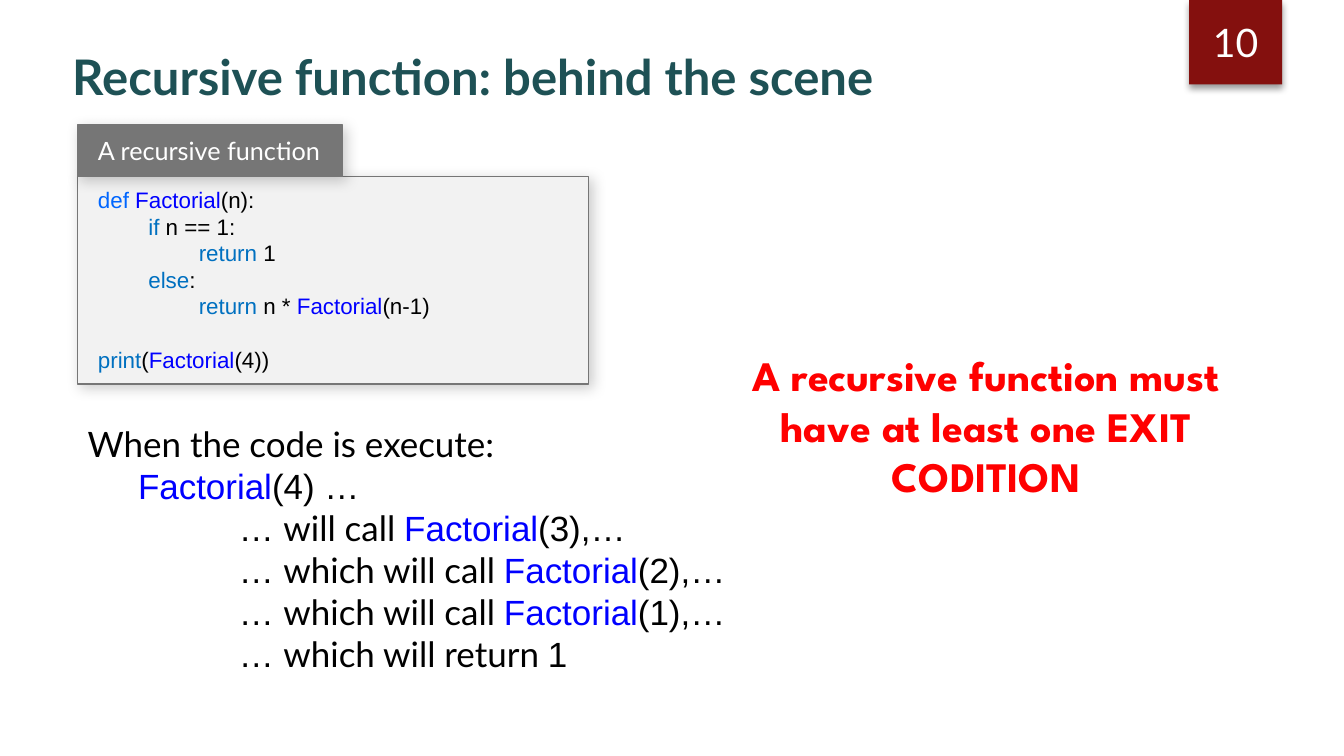
from dataclasses import dataclass
from typing import Optional

from lxml.etree import SubElement
from pptx import Presentation
from pptx.dml.color import RGBColor
from pptx.enum.shapes import MSO_SHAPE
from pptx.enum.text import MSO_ANCHOR as Anchor, MSO_AUTO_SIZE as AutoSize, PP_ALIGN as Align
from pptx.oxml.ns import qn
from pptx.util import Cm, Pt

BLACK = RGBColor(0x00, 0x00, 0x00)
WHITE = RGBColor(0xFF, 0xFF, 0xFF)
TEAL = RGBColor(0x1E, 0x51, 0x55)
MAROON = RGBColor(0x84, 0x10, 0x0E)
GRAY = RGBColor(0x76, 0x76, 0x76)
PALE = RGBColor(0xF2, 0xF2, 0xF2)
DEF_BLUE = RGBColor(0x00, 0x66, 0xFF)
NAME_BLUE = RGBColor(0x00, 0x00, 0xFF)
KEY_BLUE = RGBColor(0x00, 0x70, 0xC0)
RED = RGBColor(0xFF, 0x00, 0x00)

LATO, ARIAL, SPARTAN = "Lato", "Arial", "League Spartan"
STEP = 1.27  # one indent level, cm


@dataclass
class Run:
    text: str
    color: RGBColor = BLACK
    font: str = ARIAL
    bold: bool = False


@dataclass
class Line:
    runs: list[Run]
    level: int = 0
    before: float = 0


@dataclass
class Shadow:
    alpha: int
    blur: float
    dist: float
    angle: int


@dataclass
class Box:
    at: tuple[float, float, float, float]
    lines: list[Line]
    size: float
    inset: tuple[float, float] = (0.25, 0.13)
    align: Align = Align.LEFT
    anchor: Anchor = Anchor.TOP
    pitch: Optional[float] = None
    fill: Optional[RGBColor] = None
    line: Optional[RGBColor] = None
    shadow: Optional[Shadow] = None


def add_shadow(props, shadow: Shadow) -> None:
    effects = props.find(qn("a:effectLst"))
    if effects is None:
        effects = SubElement(props, qn("a:effectLst"))
    outer = SubElement(effects, qn("a:outerShdw"), blurRad=str(Pt(shadow.blur)),
                       dist=str(Pt(shadow.dist)), dir=str(shadow.angle * 60000),
                       algn="tl", rotWithShape="0")
    color = SubElement(outer, qn("a:srgbClr"), val="000000")
    SubElement(color, qn("a:alpha"), val=str(shadow.alpha * 1000))


def write(tf, box: Box) -> None:
    side, top = map(Cm, box.inset)
    frame = dict(word_wrap=True, auto_size=AutoSize.NONE, vertical_anchor=box.anchor,
                 margin_left=side, margin_right=side, margin_top=top, margin_bottom=top)
    for name, value in frame.items():
        setattr(tf, name, value)
    for i, line in enumerate(box.lines):
        p = tf.add_paragraph() if i else tf.paragraphs[0]
        p.alignment = box.align
        if box.pitch:
            p.line_spacing = Pt(box.pitch)
        if line.before:
            p.space_before = Pt(line.before)
        if line.level:
            pPr = p._p.get_or_add_pPr()
            pPr.set("marL", str(Cm(STEP * line.level)))
            pPr.set("indent", "0")
        for part in line.runs:
            r = p.add_run()
            r.text = part.text
            style = dict(name=part.font, size=Pt(box.size), bold=part.bold)
            for name, value in style.items():
                setattr(r.font, name, value)
            r.font.color.rgb = part.color


def add_box(s, box: Box) -> None:
    at = map(Cm, box.at)
    if box.fill is None:
        sp = s.shapes.add_textbox(*at)
    else:
        sp = s.shapes.add_shape(MSO_SHAPE.RECTANGLE, *at)
        sp.fill.solid()
        sp.fill.fore_color.rgb = box.fill
        if box.line is None:
            sp.line.fill.background()
        else:
            sp.line.color.rgb = box.line
            sp.line.width = Pt(1)
        sp.shadow.inherit = False
        if box.shadow:
            add_shadow(sp._element.spPr, box.shadow)
    write(sp.text_frame, box)


def add_title(s, box: Box) -> None:
    sp = s.shapes.title
    sp.left, sp.top, sp.width, sp.height = map(Cm, box.at)
    write(sp.text_frame, box)
    for r in sp.text_frame.paragraphs[0].runs:
        fill = r.font._element.find(qn("a:solidFill"))
        effects = fill.makeelement(qn("a:effectLst"))
        fill.addnext(effects)
        add_shadow(r.font._element, Shadow(40, 3, 3, 45))


def single(text: str, color: RGBColor, font: str = LATO, bold: bool = False) -> list[Line]:
    return [Line([Run(text, color, font, bold)])]


def call(lead: str, argument: str) -> Line:
    return Line([Run("… "), Run(lead, font=LATO), FACTORIAL, Run(f"({argument}),…")], 3)


FACTORIAL = Run("Factorial", NAME_BLUE)
RETURN = Run("return", KEY_BLUE)
PANEL_SHADOW = Shadow(20, 10, 3, 45)

TITLE = Box((1.57, 0.99, 27.74, 1.63),
            single("Recursive function: behind the scene", TEAL, bold=True), 35, (0.25, 0.17))

CODE = [
    Line([Run("def ", DEF_BLUE), FACTORIAL, Run("(n):")]),
    Line([Run("if", KEY_BLUE), Run(" n == 1:")], 1),
    Line([RETURN, Run(" 1")], 2),
    Line([Run("else", KEY_BLUE), Run(":")], 1),
    Line([RETURN, Run(" n * "), FACTORIAL, Run("(n-1)")], 2),
    Line([Run("print", KEY_BLUE), Run("("), FACTORIAL, Run("(4))")], before=19),
]

CALLS = [
    Line([Run("When the code is execute:", font=LATO)]),
    Line([FACTORIAL, Run("(4) …")], 1),
    call("will call ", "3"),
    call("which will call ", "2"),
    call("which will call ", "1"),
    Line([Run("… "), Run("which will return ", font=LATO), Run("1")], 3),
]

BOXES = [
    Box((29.97, 0, 2.34, 2.13), single("10", WHITE), 28, align=Align.CENTER,
        anchor=Anchor.MIDDLE, fill=MAROON, shadow=Shadow(40, 5, 3, 90)),
    Box((1.96, 4.45, 12.88, 5.23), CODE, 16, (0.51, 0.25), pitch=19,
        fill=PALE, line=GRAY, shadow=PANEL_SHADOW),
    Box((1.96, 3.15, 6.68, 1.3), single("A recursive function", WHITE), 18, (0.51, 0.25),
        anchor=Anchor.MIDDLE, fill=GRAY, line=GRAY, shadow=PANEL_SHADOW),
    Box((1.96, 10.52, 16.99, 6.68), CALLS, 25),
    Box((18.57, 8.69, 12.57, 4.11),
        single("A recursive function must have at least one EXIT CODITION", RED, SPARTAN, True),
        30, align=Align.CENTER),
]


def main() -> None:
    prs = Presentation()
    prs.slide_width, prs.slide_height = Cm(33.87), Cm(19.05)
    s = prs.slides.add_slide(prs.slide_layouts[5])
    add_title(s, TITLE)
    for box in BOXES:
        add_box(s, box)
    prs.save("out.pptx")


if __name__ == "__main__":
    main()
